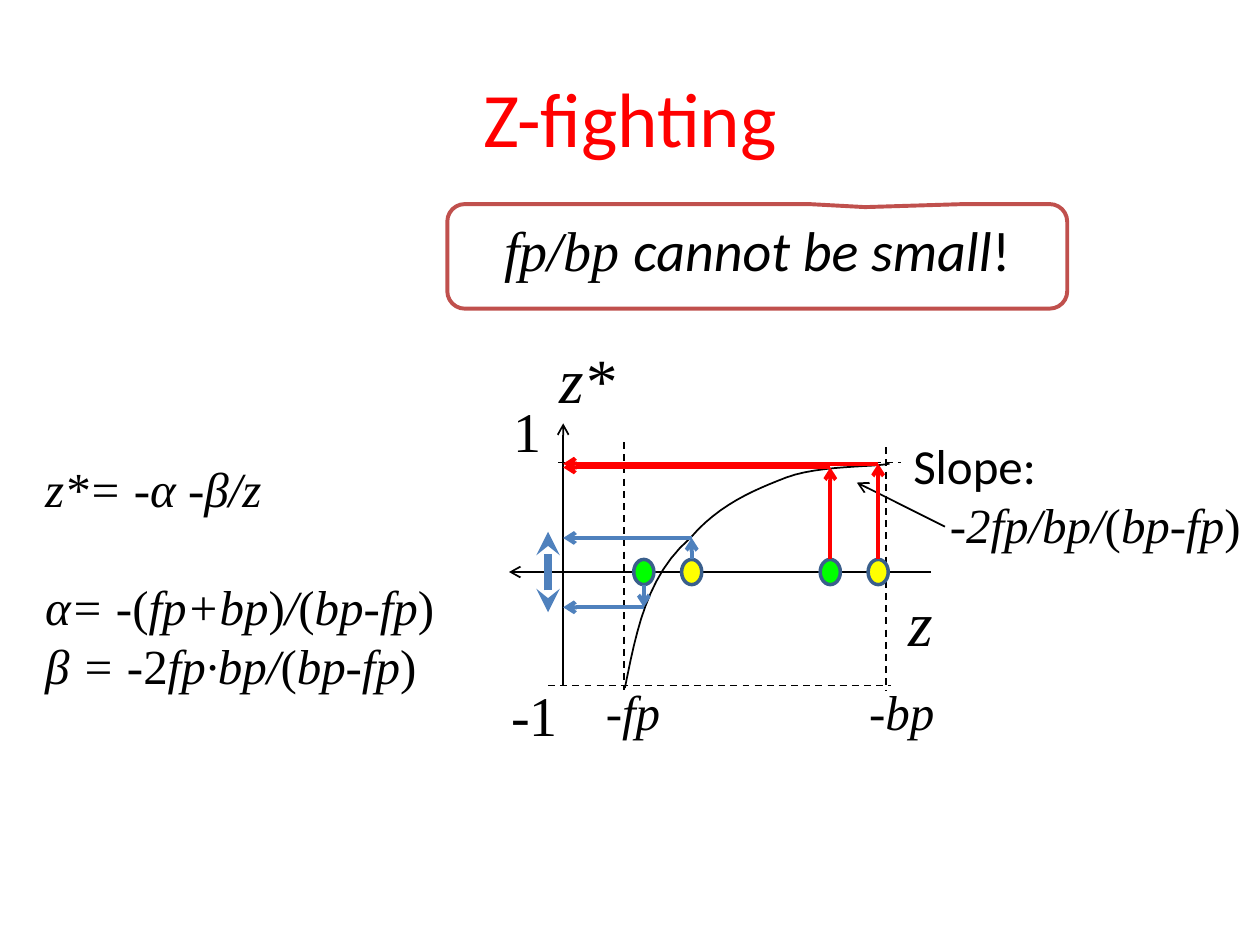
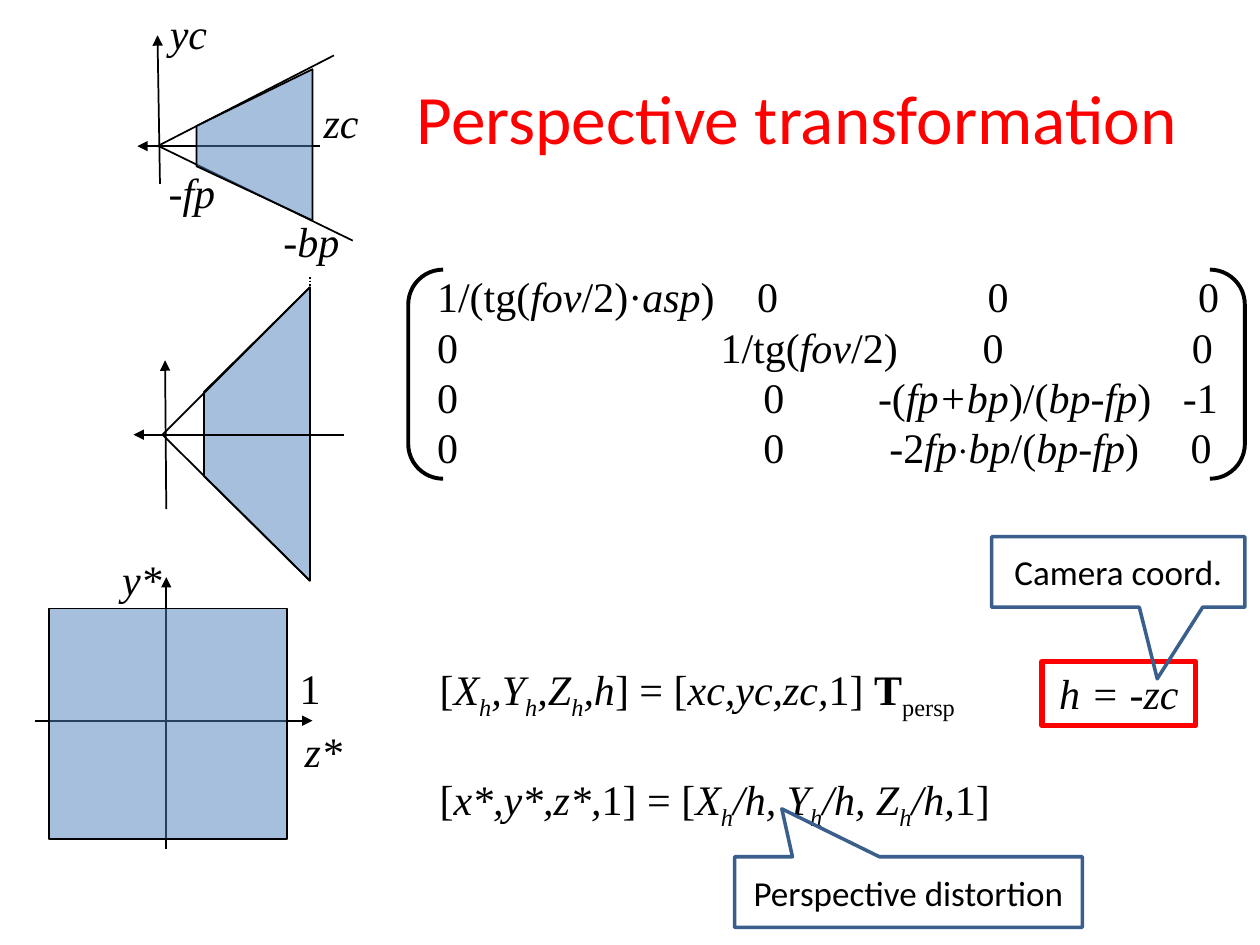
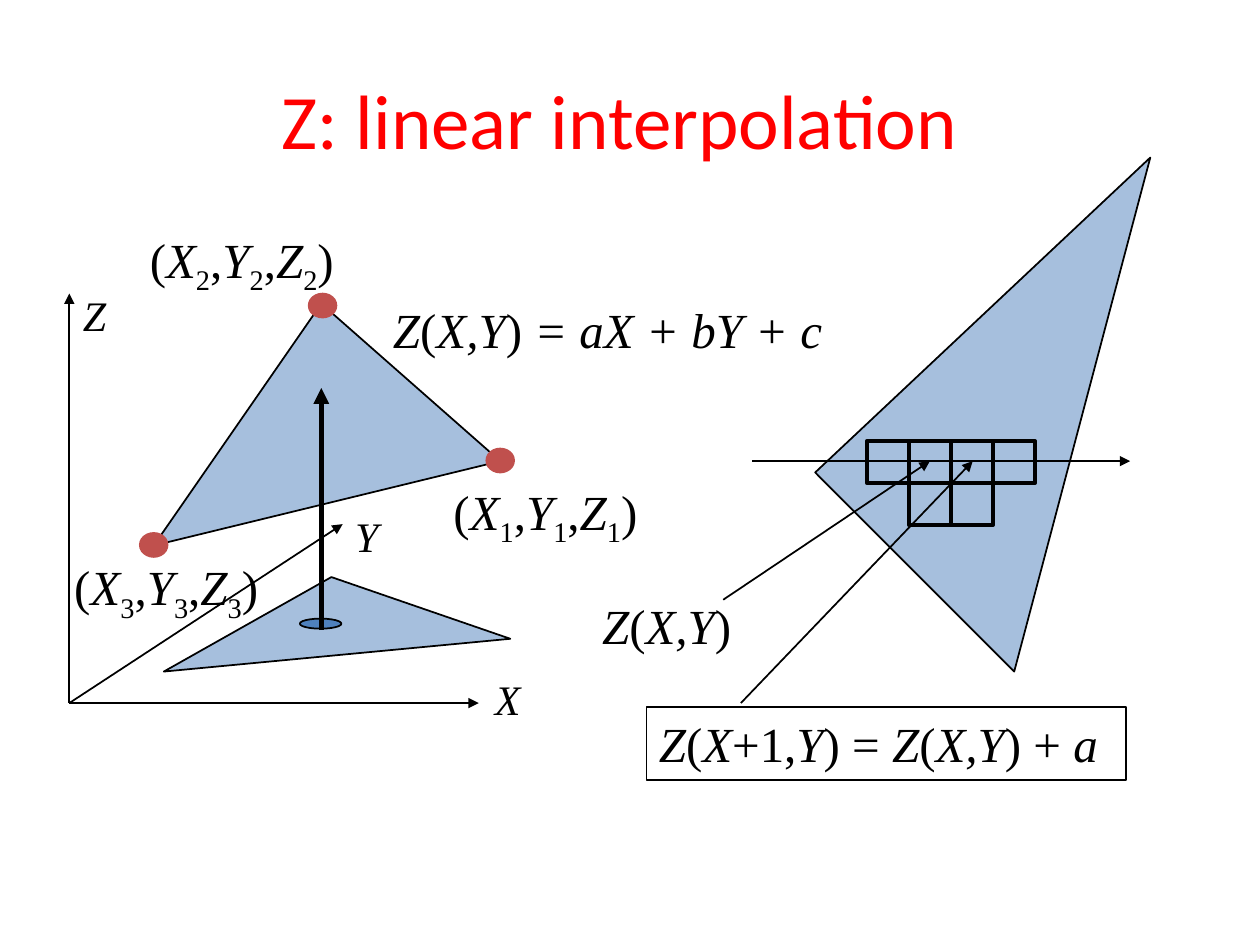
from itertools import groupby

from lxml.etree import SubElement
from pptx import Presentation
from pptx.dml.color import RGBColor
from pptx.enum.dml import MSO_LINE_DASH_STYLE as Dash
from pptx.enum.shapes import MSO_CONNECTOR, MSO_SHAPE as Shape
from pptx.enum.text import MSO_ANCHOR as Anchor, MSO_AUTO_SIZE as Fit, PP_ALIGN as Align
from pptx.oxml.ns import qn
from pptx.util import Inches, Pt

BLACK, RED, BLUE, NAVY, BRICK = "000000", "FF0000", "4F81BD", "3A5F8C", "C0504D"
GREEN, YELLOW = "00FF00", "FFFF00"
SANS, SERIF = "Calibri", "Times New Roman"
MARKS = {"~": {"italic": True}, "#": {"bold": True}, "@": {"name": SANS},
         "^": {"size": Pt(20)}, "_": {}}


def rgb(value):
    """Turn a hex string into a colour."""
    return RGBColor.from_string(value)


def bezier(start, *curves):
    """Sample a chain of cubic curves into points."""
    points, n = [start], 12
    for a, b, c in curves:
        s = points[-1]
        for i in range(1, n + 1):
            t = i / n
            w = ((1 - t) ** 3, 3 * t * (1 - t) ** 2, 3 * t * t * (1 - t), t ** 3)
            points.append(tuple(sum(k * q[d] for k, q in zip(w, (s, a, b, c)))
                                for d in (0, 1)))
    return points


class Deck:
    """Hold the style and the current slide."""

    def __init__(self):
        """Open a 10 by 7.5 inch presentation."""
        self.prs = Presentation()
        self.prs.slide_width, self.prs.slide_height = Inches(10), Inches(7.5)

    def slide(self, title, at, size=44):
        """Start a slide with a red title."""
        self.s = self.prs.slides.add_slide(self.prs.slide_layouts[5])
        sp = self.s.shapes.title
        sp.left, sp.top, sp.width, sp.height = map(Inches, at)
        tf = sp.text_frame
        tf.vertical_anchor = Anchor.MIDDLE
        self.set_lines(tf, [title], size, SANS, RED, Align.CENTER)

    def set_lines(self, tf, lines, size, font=SERIF, color=BLACK, align=None,
                  gaps=(), tabs=(), indents=()):
        """Fill a frame, where marks toggle run formats."""
        for i, line in enumerate(lines):
            p = tf.add_paragraph() if i else tf.paragraphs[0]
            p.alignment = align
            pPr = p._p.get_or_add_pPr()
            if i < len(gaps) and gaps[i]:
                p.space_before = Pt(gaps[i])
            if i < len(indents):
                pPr.set("marL", str(Inches(indents[i])))
            if tabs:
                stops = SubElement(pPr, qn("a:tabLst"))
                for pos in tabs[i]:
                    SubElement(stops, qn("a:tab"), pos=str(Inches(pos)), algn="l")
            active = set()
            for is_mark, chars in groupby(line, lambda c: c in MARKS):
                if is_mark:
                    active ^= set(chars)
                    continue
                r = p.add_run()
                r.text = "".join(chars)
                fmt = {"size": Pt(size), "name": font, "italic": False, "bold": False}
                for mark in active:
                    fmt.update(MARKS[mark])
                for key, value in fmt.items():
                    setattr(r.font, key, value)
                r.font.color.rgb = rgb(color)
                if "_" in active:
                    r._r.get_or_add_rPr().set("baseline", "-25000")

    def text(self, lines, at, size, wrap=False, **fmt):
        """Add a text box."""
        tf = self.s.shapes.add_textbox(*map(Inches, at)).text_frame
        tf.word_wrap = wrap
        tf.auto_size = Fit.SHAPE_TO_FIT_TEXT
        self.set_lines(tf, lines, size, **fmt)

    def paint(self, sp, fill, line, width, alpha=None):
        """Set the fill and outline of a shape."""
        sp.shadow.inherit = False
        if fill:
            sp.fill.solid()
            sp.fill.fore_color.rgb = rgb(fill)
            if alpha:
                color = sp._element.spPr.find(".//" + qn("a:srgbClr"))
                SubElement(color, qn("a:alpha"), val=str(alpha * 1000))
        else:
            sp.fill.background()
        sp.line.color.rgb = rgb(line)
        sp.line.width = Pt(width)

    def shape(self, kind, at, fill=None, line=BLACK, width=1, adj=(), alpha=None,
              text=None, size=24, anchor=Anchor.TOP, **fmt):
        """Add a preset shape, with text if given."""
        sp = self.s.shapes.add_shape(kind, *map(Inches, at))
        for i, value in enumerate(adj):
            sp.adjustments[i] = value
        self.paint(sp, fill, line, width, alpha)
        if text:
            tf = sp.text_frame
            tf.vertical_anchor = anchor
            self.set_lines(tf, [text], size, **fmt)

    def callout(self, text, at, adj):
        """Add a navy callout."""
        self.shape(Shape.RECTANGULAR_CALLOUT, at, line=NAVY, width=2, adj=adj, text=text,
                   size=20, anchor=Anchor.MIDDLE, font=SANS, align=Align.CENTER)

    def outline(self, points, fill=BLUE, alpha=50, close=True):
        """Add a freeform through the points."""
        start, *rest = [tuple(map(Inches, q)) for q in points]
        fb = self.s.shapes.build_freeform(*start)
        fb.add_line_segments(rest, close=close)
        self.paint(fb.convert_to_shape(), fill, BLACK, 1, alpha)

    def line(self, start, end, color=BLACK, width=1, dash=None, head=None, tail=None):
        """Add a straight line with optional arrowheads."""
        sp = self.s.shapes.add_connector(MSO_CONNECTOR.STRAIGHT,
                                         *map(Inches, (*start, *end)))
        sp.line.color.rgb = rgb(color)
        sp.line.width = Pt(width)
        if dash:
            sp.line.dash_style = dash
        ln = sp._element.spPr.find(qn("a:ln"))
        for tag, kind in (("a:headEnd", head), ("a:tailEnd", tail)):
            if kind:
                SubElement(ln, qn(tag), type=kind)
        SubElement(sp._element.spPr, qn("a:effectLst"))


def z_fighting(d):
    """Build the depth precision slide."""
    d.slide("Z-fighting", (0.5, 0.3, 9, 1.25))
    d.shape(Shape.ROUNDED_RECTANGULAR_CALLOUT, (3.55, 1.62, 4.92, 0.83), line=BRICK,
            width=2.25, adj=(0.174, -0.471, 0.167), text="~fp/bp @cannot be small~!",
            size=32, align=Align.CENTER)
    d.text(["~z*= -α -β/z", "~α= -~(~fp+bp~)~/~(~bp-fp~)", "~β = -~2~fp·bp/~(~bp-fp~)"],
           (0.26, 3.59, 3.43, 1.99), 28, wrap=True, gaps=(0, 33.7))
    for start, end in (((4.47, 5.44), (4.47, 3.36)), ((7.39, 4.54), (4.04, 4.54)),
                       ((7.5, 4.18), (6.8, 3.83))):
        d.line(start, end, tail="arrow")
    for start, end in (((4.95, 3.51), (4.95, 5.48)), ((7.03, 3.55), (7.03, 5.48)),
                       ((4.43, 3.67), (7.15, 3.67)), ((4.35, 5.44), (7.07, 5.44))):
        d.line(start, end, dash=Dash.DASH)
    d.outline(bezier((4.96, 5.46), ((5.05, 5.02), (5.13, 4.57), (5.48, 4.27)),
                     ((5.7, 4.01), (5.98, 3.89), (6.24, 3.79)),
                     ((6.51, 3.69), (6.93, 3.71), (7.06, 3.68))),
              fill=None, alpha=None, close=False)
    for label, at, size in (("~z", (7.11, 4.58, 0.4, 0.71), 36),
                            ("~z*", (4.34, 2.65, 0.65, 0.71), 36),
                            ("1", (3.98, 3.1, 0.43, 0.64), 32),
                            ("-1", (3.96, 5.35, 0.58, 0.64), 32),
                            ("~-fp", (4.71, 5.36, 0.64, 0.57), 28),
                            ("~-bp", (6.8, 5.36, 0.73, 0.57), 28)):
        d.text([label], at, size)
    d.text(["@Slope:", "~-2fp/bp/~(~bp-fp~)"], (7.15, 3.41, 2.93, 1.04), 28,
           indents=(0, 0.29))
    for x, fill in ((5.11, GREEN), (5.49, YELLOW), (6.59, GREEN), (6.97, YELLOW)):
        d.shape(Shape.OVAL, (x - 0.08, 4.44, 0.16, 0.2), fill, NAVY, 2)
    for x, y, depth, color in ((5.49, 4.44, 4.27, BLUE), (5.11, 4.64, 4.82, BLUE),
                               (6.97, 4.44, 3.68, RED), (6.59, 4.44, 3.71, RED)):
        d.line((x, y), (x, depth), color, 2.25, tail="arrow")
        d.line((x, depth), (4.47, depth), color, 2.25, tail="arrow")
    d.line((4.35, 4.86), (4.35, 4.22), BLUE, 4.5, head="stealth", tail="stealth")


def perspective(d):
    """Build the perspective transformation slide."""
    d.slide("Perspective transformation", (3.15, 0.3, 6.35, 1.25), 39.6)
    d.outline([(1.62, 3.78), (2.46, 4.61), (2.46, 2.28), (1.62, 3.11)])
    for start, end in (((1.29, 3.45), (2.46, 2.28)), ((1.29, 3.45), (2.46, 4.61)),
                       ((1.25, 1.16), (2.65, 0.44)), ((1.26, 1.16), (2.8, 1.91))):
        d.line(start, end)
    d.line((2.46, 2.2), (2.46, 4.61), dash=Dash.ROUND_DOT)
    for start, end in (((2.73, 3.45), (1.06, 3.45)), ((1.32, 4.04), (1.31, 2.86)),
                       ((1.32, 6.74), (1.32, 4.58)), ((0.28, 5.72), (2.48, 5.72)),
                       ((2.54, 1.16), (1.09, 1.16)), ((1.27, 1.46), (1.25, 0.28))):
        d.line(start, end, tail="triangle")
    d.shape(Shape.RECTANGLE, (0.39, 4.83, 1.89, 1.83), BLUE, alpha=50)
    d.outline([(1.56, 1.32), (2.48, 1.75), (2.48, 0.55), (1.56, 1)])
    for label, x, y, width in (("1", 2.28, 5.21, 0.37), ("~zc", 2.47, 0.72, 0.48),
                               ("~yc", 1.25, 0.01, 0.5), ("-~fp", 1.24, 1.27, 0.57),
                               ("-~bp", 2.15, 1.66, 0.65), ("~z*", 2.32, 5.71, 0.5),
                               ("~y*", 0.87, 4.34, 0.52)):
        d.text([label], (x, y, width, 0.5), 24)
    d.shape(Shape.DOUBLE_BRACKET, (3.24, 2.14, 6.64, 1.66), width=2.25, adj=(0.167,))
    d.text(["1/(tg(~fov~/2)·~asp~)\t0\t0\t0",
            "0\t1/tg(~fov~/2)\t0\t0",
            "0\t0\t-(~fp+bp~)/(~bp-fp~)\t-1",
            "0\t0\t-2~fp~^·^~bp~/(~bp-fp~)\t0"],
           (3.37, 2.1, 6.51, 1.7), 24, wrap=True,
           tabs=((2.54, 4.37, 6.04), (2.25, 4.33, 5.99),
                 (2.59, 3.5, 5.92), (2.59, 3.59, 5.98)))
    d.text(["[~X_h_,Y_h_,Z_h_,h~] = [~xc,yc,zc,~1] #T#_persp_",
            "[~x*,y*,z*,~1] = [~X_h_/h, Y_h_/h, Z_h_/h,~1]"],
           (3.39, 5.22, 5.87, 1.58), 24, wrap=True, gaps=(0, 30))
    d.shape(Shape.RECTANGLE, (8.27, 5.25, 1.22, 0.51), line=RED, width=3,
            text="~h = ~-~zc", align=Align.CENTER)
    d.callout("Camera coord.", (7.87, 4.26, 2.01, 0.56), (0.154, 1.515))
    d.callout("Perspective distortion", (5.83, 6.8, 2.76, 0.56), (-0.364, -1.18))


def interpolation(d):
    """Build the linear interpolation slide."""
    d.slide("Z: linear interpolation", (-0.16, 0.32, 10.16, 1.25))
    origin = (0.55, 5.58)
    for end in ((3.8, 5.58), (2.72, 4.16), (0.55, 2.33)):
        d.line(origin, end, tail="triangle")
    for corners in (((1.22, 4.33), (3.97, 3.66), (2.55, 2.41)),
                    ((1.3, 5.33), (4.05, 5.07), (2.63, 4.58)),
                    ((8.05, 5.33), (6.47, 3.75), (9.13, 1.25))):
        d.outline(corners)
    for axis, x, y in (("X", 3.83, 5.3), ("Y", 2.72, 4), ("Z", 0.56, 2.25)):
        d.text(["~" + axis], (x, y, 0.39, 0.5), 24)
    d.shape(Shape.OVAL, (2.38, 4.91, 0.33, 0.08), BLUE)
    d.line((2.55, 5), (2.55, 3.08), width=3, tail="triangle")
    d.text(["~Z~(~X,Y~)~ = aX + bY + c"], (3.02, 2.33, 3.62, 0.57), 28)
    pixel = 1 / 3
    for row, columns in enumerate((range(4), (1, 2))):
        for col in columns:
            d.shape(Shape.RECTANGLE, (6.88 + col * pixel, 3.5 + row * pixel, pixel, pixel),
                    width=2.25)
    d.text(["~Z~(~X,Y~)"], (4.68, 4.68, 1.23, 0.57), 28)
    for start, end in (((5.74, 4.76), (7.38, 3.66)), ((5.97, 3.66), (8.97, 3.66)),
                       ((5.88, 5.58), (7.72, 3.66))):
        d.line(start, end, tail="triangle")
    d.shape(Shape.RECTANGLE, (5.13, 5.61, 3.81, 0.58), size=28,
            text="~Z~(~X~+1,~Y~) = ~Z~(~X,Y~) + ~a", align=Align.LEFT)
    for n, dot, label in ((1, (3.86, 3.56), (3.5, 3.77)), (2, (2.45, 2.33), (1.09, 1.77)),
                          (3, (1.11, 4.23), (0.49, 4.37))):
        d.shape(Shape.OVAL, (*dot, 0.22, 0.19), BRICK, BRICK)
        vertex = ",".join(f"~{axis}~_{n}_" for axis in "XYZ")
        d.text([f"({vertex})"], (*label, 1.72, 0.57), 28)


def main():
    """Build the three slides."""
    d = Deck()
    for build in (z_fighting, perspective, interpolation):
        build(d)
    d.prs.save("out.pptx")


if __name__ == "__main__":
    main()
